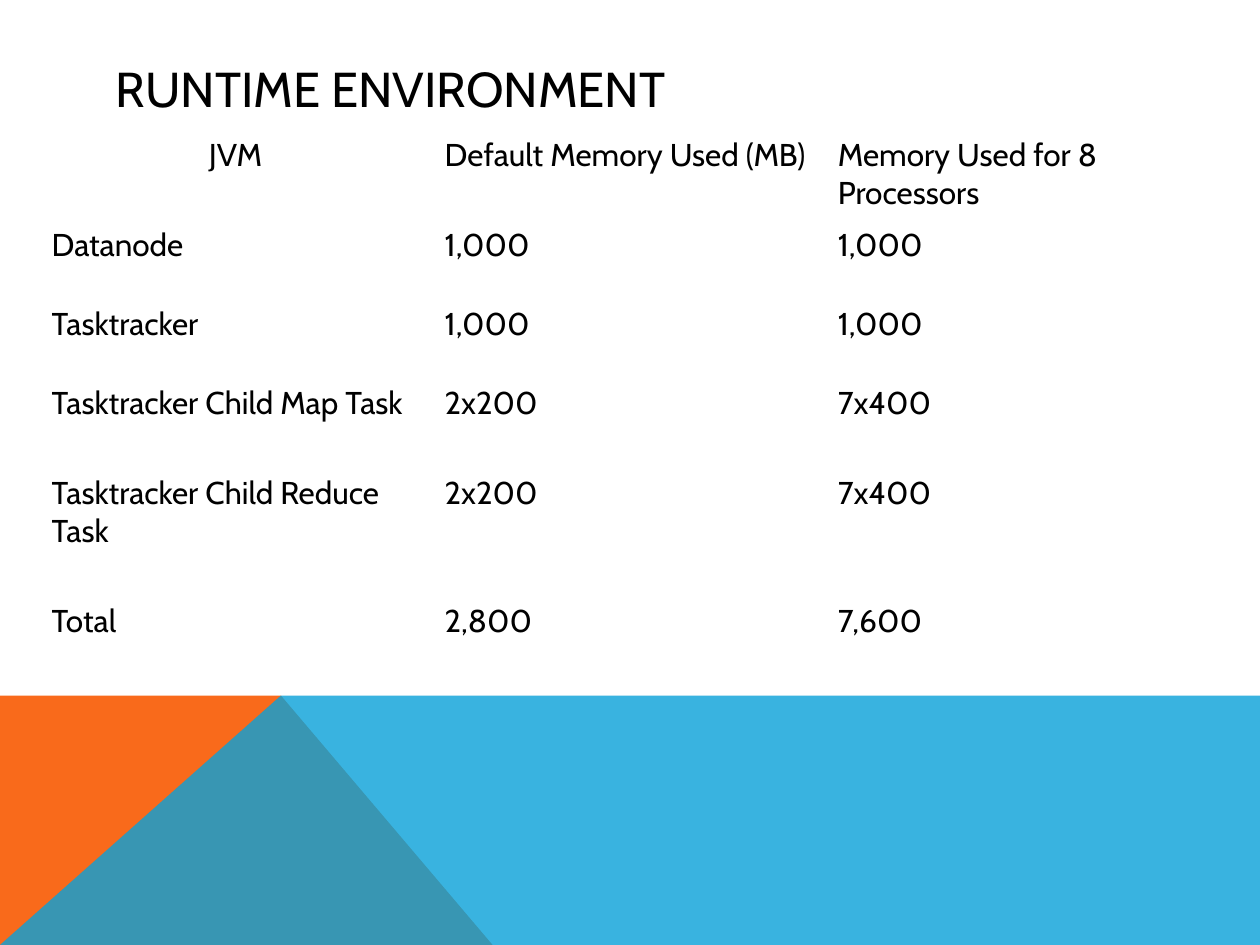
from dataclasses import dataclass

from lxml import etree
from pptx import Presentation
from pptx import util as u
from pptx.dml.color import RGBColor
from pptx.enum import text as t
from pptx.oxml.ns import qn

WIDE, HIGH = 10, 7.5
FONT = "Cabin"
INK = "000000"
TOP, PEAK = 0.736, 0.223


@dataclass
class Band:
    points: list[tuple[float, float]]
    fill: str
    alpha: int = 100


@dataclass
class Row:
    cells: tuple[str, str, str]
    high: float = 0.63


BANDS = [
    Band([(0, 1), (0, TOP), (PEAK, TOP), (0.391, 1)], "F96A1B"),
    Band([(0, 1), (PEAK, TOP), (1, TOP), (1, 1)], "08A1D9", 80),
]

ROWS = [
    Row(("JVM", "Default Memory Used (MB)", "Memory Used for 8 Processors"), 0.71),
    Row(("Datanode", "1,000", "1,000")),
    Row(("Tasktracker", "1,000", "1,000")),
    Row(("Tasktracker Child Map Task", "2x200", "7x400"), 0.71),
    Row(("Tasktracker Child Reduce Task", "2x200", "7x400"), 1.02),
    Row(("Total", "2,800", "7,600")),
]


def shade(code: str) -> RGBColor:
    return RGBColor.from_string(code)


def write(frame, words: str, size: float = 18, color: str = INK,
          align=t.PP_ALIGN.LEFT) -> None:
    para = frame.paragraphs[0]
    para.alignment = align
    run = para.add_run()
    run.text = words
    run.font.name = FONT
    run.font.size = u.Pt(size)
    run.font.bold = False
    run.font.color.rgb = shade(color)


def draw_band(slide, band: Band) -> None:
    spots = [(u.Inches(x * WIDE), u.Inches(y * HIGH)) for x, y in band.points]
    pen = slide.shapes.build_freeform(*spots[0])
    pen.add_line_segments(spots[1:], close=True)
    shape = pen.convert_to_shape()
    shape.shadow.inherit = False
    shape.line.fill.background()
    shape.fill.solid()
    shape.fill.fore_color.rgb = shade(band.fill)
    if band.alpha < 100:
        color = shape.fill._xPr.find(".//" + qn("a:srgbClr"))
        etree.SubElement(color, qn("a:alpha"), val=str(band.alpha * 1000))


def set_title(slide, words: str) -> None:
    title = slide.shapes.title
    title.left, title.top = u.Inches(0.82), u.Inches(0.4)
    title.width, title.height = u.Inches(8.22), u.Inches(0.6)
    frame = title.text_frame
    frame.word_wrap = True
    frame.auto_size = t.MSO_AUTO_SIZE.NONE
    frame.vertical_anchor = t.MSO_ANCHOR.MIDDLE
    write(frame, words, size=28)


def draw_table(slide, rows: list[Row]) -> None:
    count = len(rows[0].cells)
    high = sum(row.high for row in rows)
    table = slide.shapes.add_table(
        len(rows), count, u.Inches(0.31), u.Inches(1.03),
        u.Inches(9.36), u.Inches(high)).table
    table.first_row = table.horz_banding = False
    for col in table.columns:
        col.width = u.Inches(9.36 / count)
    for r, row in enumerate(rows):
        table.rows[r].height = u.Inches(row.high)
        for c, words in enumerate(row.cells):
            cell = table.cell(r, c)
            cell.fill.background()
            mid = r == 0 and c == 0
            write(cell.text_frame, words,
                  align=t.PP_ALIGN.CENTER if mid else t.PP_ALIGN.LEFT)


def main() -> None:
    deck = Presentation()
    deck.slide_width, deck.slide_height = u.Inches(WIDE), u.Inches(HIGH)
    slide = deck.slides.add_slide(deck.slide_layouts[5])
    for band in BANDS:
        draw_band(slide, band)
    set_title(slide, "RUNTIME ENVIRONMENT")
    draw_table(slide, ROWS)
    deck.save("out.pptx")


if __name__ == "__main__":
    main()
